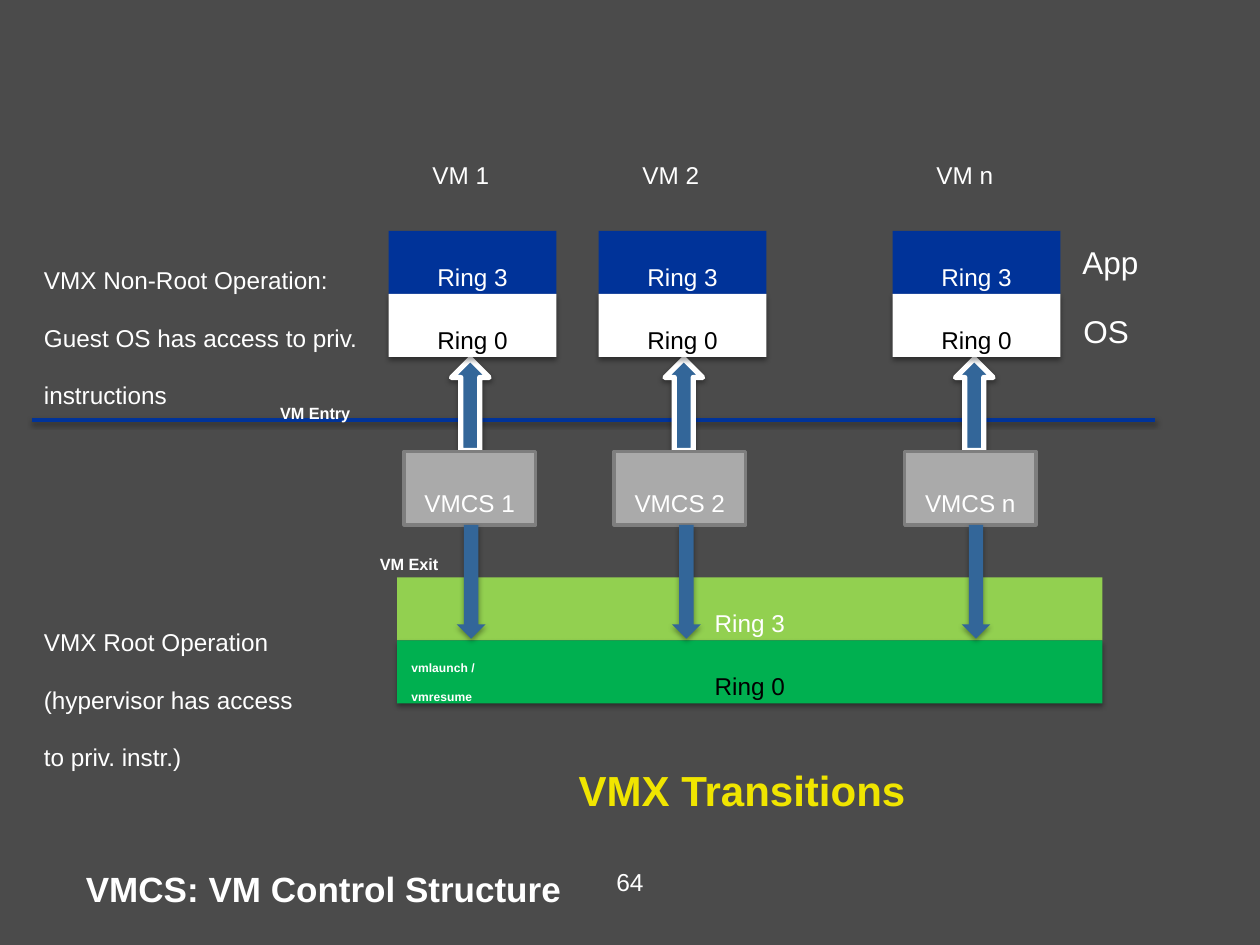
from dataclasses import dataclass

from lxml import etree
from pptx import Presentation
from pptx.dml.color import RGBColor
from pptx.enum.shapes import MSO_CONNECTOR, MSO_SHAPE
from pptx.enum.text import MSO_ANCHOR, MSO_AUTO_SIZE, PP_ALIGN
from pptx.oxml.ns import qn
from pptx.util import Pt

RECTANGLE, UP, DOWN = MSO_SHAPE.RECTANGLE, MSO_SHAPE.UP_ARROW, MSO_SHAPE.DOWN_ARROW
LEFT, CENTER = PP_ALIGN.LEFT, PP_ALIGN.CENTER
MIDDLE, BOTTOM = MSO_ANCHOR.MIDDLE, MSO_ANCHOR.BOTTOM
GROW, FIXED = MSO_AUTO_SIZE.SHAPE_TO_FIT_TEXT, MSO_AUTO_SIZE.NONE

FONT = "Arial"
WHITE, BLACK, NAVY, STEEL = "FFFFFF", "000000", "003399", "336699"
VM_WIDTH, RING_HEIGHT = 96, 36


@dataclass
class Machine:
    name: str
    left: float
    control_left: float
    entry_left: float
    exit_left: float


@dataclass
class Style:
    size: float = 24
    color: str = WHITE
    bold: bool = False
    subscript: bool = True


@dataclass
class Label:
    text: str
    left: float
    top: float
    width: float
    height: float
    style: Style
    align: PP_ALIGN = LEFT
    wrap: bool = True
    auto_size: MSO_AUTO_SIZE = GROW


MACHINES = [
    Machine("1", 222, 231, 258, 261),
    Machine("2", 342, 351, 380, 384),
    Machine("n", 510, 517, 546, 549.5),
]
BODY = Style()
TRANSITION = Style(16, bold=True)
LEVEL = Style(18, subscript=False)
LABELS = [
    Label("VMX Non-Root Operation: Guest OS has access to priv. instructions",
          18, 132, 204, 65.5, BODY),
    Label("VMX Root Operation (hypervisor has access to priv. instr.)",
          18, 339, 168, 65.5, BODY),
    Label("VM Entry", 153, 216, 117, 20, TRANSITION),
    Label("VM Exit", 210, 302.4, 66, 20, TRANSITION),
    Label("vmlaunch / vmresume", 228, 366, 78, 36, Style(12, bold=True)),
    Label("64", 246, 492, 228, 36, Style(14, subscript=False), CENTER, auto_size=FIXED),
    Label("VMCS: VM Control Structure", 42, 492, 288, 31.5,
          Style(20, bold=True, subscript=False), wrap=False),
    Label("App", 611.5, 135.5, 46.5, 29, LEVEL, wrap=False),
    Label("OS", 612, 175, 41, 29, LEVEL, wrap=False),
]


def rgb(color: str) -> RGBColor:
    return RGBColor.from_string(color)


def write(shape, text: str, style: Style, align: PP_ALIGN) -> None:
    shape.text_frame.text = text
    para = shape.text_frame.paragraphs[0]
    para.alignment = align
    span = para.runs[0]
    span.font.name = FONT
    span.font.size = Pt(style.size)
    span.font.bold = style.bold
    span.font.color.rgb = rgb(style.color)
    if style.subscript:
        span._r.get_or_add_rPr().set("baseline", "-25000")


def add_shadow(shape) -> None:
    properties = shape._element.spPr
    effects = properties.find(qn("a:effectLst"))
    if effects is None:
        effects = etree.SubElement(properties, qn("a:effectLst"))
    shadow = etree.SubElement(effects, qn("a:outerShdw"), blurRad=str(Pt(3.1)),
                              dist=str(Pt(1.6)), dir="5400000", rotWithShape="0")
    color = etree.SubElement(shadow, qn("a:srgbClr"), val=BLACK)
    etree.SubElement(color, qn("a:alpha"), val="38000")


def add_block(page, kind: MSO_SHAPE, left: float, top: float, width: float, height: float,
              fill: str, line: str = "", line_width: float = 0, shadow: bool = False):
    block = page.shapes.add_shape(kind, Pt(left), Pt(top), Pt(width), Pt(height))
    block.fill.solid()
    block.fill.fore_color.rgb = rgb(fill)
    if line:
        block.line.color.rgb = rgb(line)
        block.line.width = Pt(line_width)
    else:
        block.line.fill.background()
    block.shadow.inherit = False
    if shadow:
        add_shadow(block)
    return block


def add_rings(page, left: float, top: float, width: float, ring3: str, ring0: str) -> None:
    outer = add_block(page, RECTANGLE, left, top, width, RING_HEIGHT, ring3)
    inner = add_block(page, RECTANGLE, left, top + RING_HEIGHT, width, RING_HEIGHT,
                      ring0, shadow=True)
    write(outer, "Ring 3", BODY, CENTER)
    write(inner, "Ring 0", Style(color=BLACK), CENTER)
    for ring in (outer, inner):
        ring.text_frame.vertical_anchor = MIDDLE


def add_label(page, label: Label) -> None:
    box = page.shapes.add_textbox(Pt(label.left), Pt(label.top),
                                  Pt(label.width), Pt(label.height))
    write(box, label.text, label.style, label.align)
    box.text_frame.word_wrap = label.wrap
    box.text_frame.auto_size = label.auto_size


def add_machine(page, machine: Machine) -> None:
    add_block(page, UP, machine.entry_left, 205, 21.5, 52.5, STEEL, WHITE, 3, shadow=True)
    add_rings(page, machine.left, 132, VM_WIDTH, NAVY, WHITE)
    control = add_block(page, RECTANGLE, machine.control_left, 258, 75, 42,
                        "AAAAAA", "7E7E7E", 2)
    write(control, f"VMCS {machine.name}", BODY, CENTER)
    control.text_frame.vertical_anchor = MIDDLE
    add_label(page, Label(f"VM {machine.name}", machine.left + 18, 72, 60, 29, BODY))


def main() -> None:
    deck = Presentation()
    deck.slide_width, deck.slide_height = Pt(720), Pt(540)
    page = deck.slides.add_slide(deck.slide_layouts[5])
    page.background.fill.solid()
    page.background.fill.fore_color.rgb = rgb("4B4B4B")

    # Title
    title = page.shapes.title
    title.left, title.top, title.width, title.height = Pt(208), Pt(425), Pt(432), Pt(44.5)
    write(title, "VMX Transitions", Style(24, "F0E500", True, False), CENTER)
    title.text_frame.vertical_anchor = BOTTOM
    title.text_frame.auto_size = FIXED

    # Boundary between non-root and root operation
    boundary = page.shapes.add_connector(MSO_CONNECTOR.STRAIGHT,
                                         Pt(18), Pt(240), Pt(660), Pt(240))
    boundary.line.color.rgb = rgb(NAVY)
    boundary.line.width = Pt(2)
    add_shadow(boundary)

    # Virtual machines above the hypervisor, with their control structures
    for machine in MACHINES:
        add_machine(page, machine)
    add_rings(page, 227, 330, 403, "92D050", "00B050")
    for machine in MACHINES:
        add_block(page, DOWN, machine.exit_left, 300, 16.5, 65, STEEL, shadow=True)

    # Annotations
    for label in LABELS:
        add_label(page, label)

    deck.save("out.pptx")


if __name__ == "__main__":
    main()
